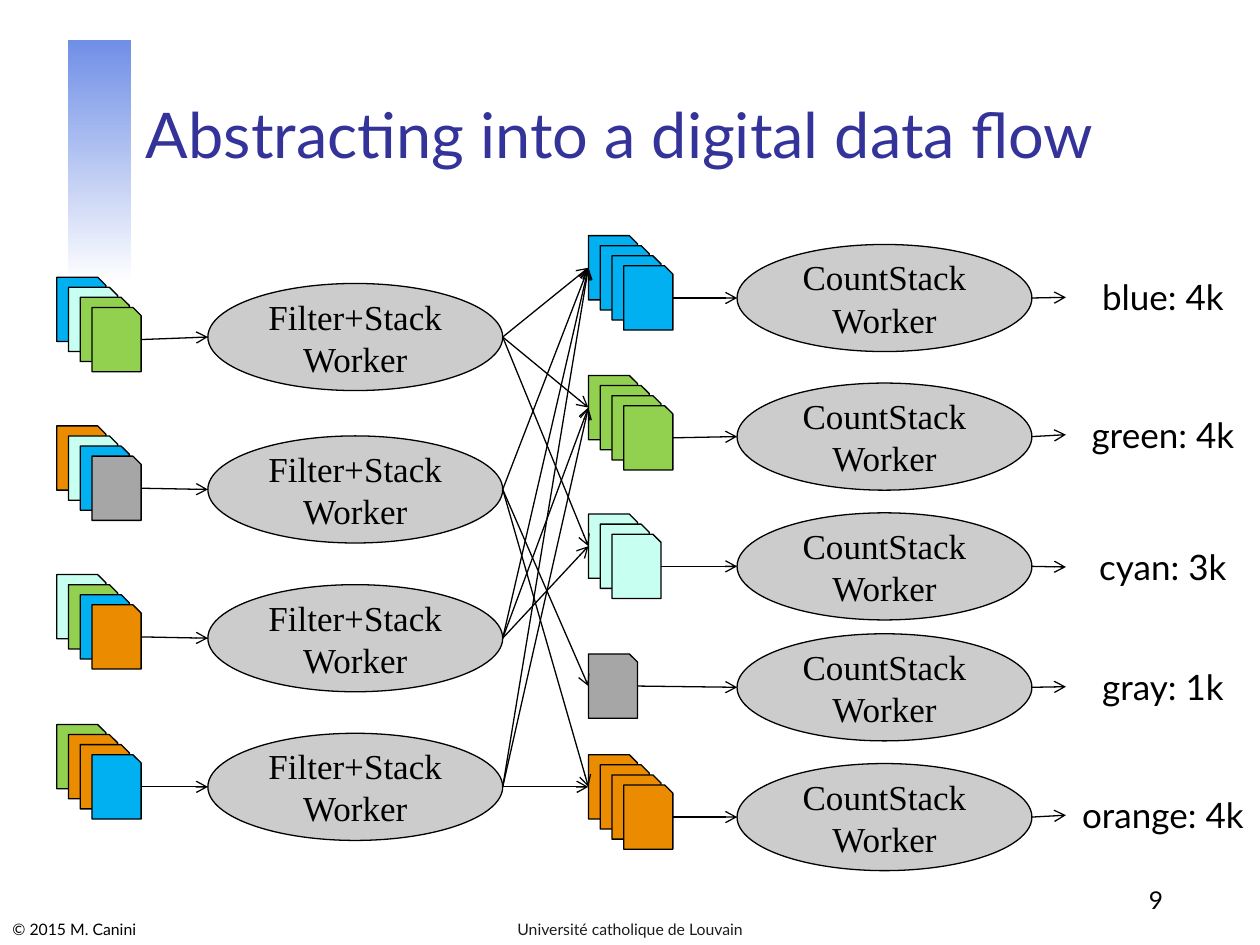
from dataclasses import dataclass
from typing import NamedTuple

from lxml.etree import SubElement
from pptx import Presentation
from pptx.dml.color import RGBColor
from pptx.enum.shapes import MSO_CONNECTOR, MSO_SHAPE
from pptx.enum.text import MSO_ANCHOR, PP_ALIGN
from pptx.oxml.ns import qn
from pptx.util import Inches, Pt


@dataclass(frozen=True)
class Theme:
    heading: str = "333399"
    ink: str = "000000"
    footer_ink: str = "1C1C1C"
    accent: str = "708FE6"
    paper: str = "FFFFFF"
    worker: str = "CCCCCC"
    blue: str = "00B0F0"
    green: str = "92D050"
    cyan: str = "C7FFF0"
    gray: str = "A6A6A6"
    orange: str = "EA8B00"
    sans: str = "Lato"
    serif: str = "Times New Roman"
    title_size: float = 36
    body_size: float = 20
    number_size: float = 14
    footer_size: float = 9
    line_width: float = 0.75


class Mapper(NamedTuple):
    stack_top: float
    worker_top: float
    sheets: tuple[str, ...]   # back to front
    targets: tuple[str, ...]  # stacks it feeds


class Reducer(NamedTuple):
    color: str
    count: int
    stack_top: float
    worker_top: float
    label_top: float


class Point(NamedTuple):
    x: float
    y: float


THEME = Theme()
SHEET_W, SHEET_H = 0.39, 0.51
SHEET_DX, SHEET_DY = 0.28 / 3, 0.08
WORKER_W, WORKER_H = 2.34, 0.85
LABEL_W, LABEL_H = 1.54, 0.44
INPUT_X, MAPPER_X, STACK_X, REDUCER_X, LABEL_X = 0.45, 1.65, 4.67, 5.85, 8.46

MAPPERS = [
    Mapper(2.2, 2.25, ("blue", "cyan", "green", "green"), ("blue", "green", "cyan")),
    Mapper(3.38, 3.46, ("orange", "cyan", "blue", "gray"), ("gray", "blue", "orange")),
    Mapper(4.56, 4.64, ("cyan", "green", "blue", "orange"), ("cyan", "green", "blue")),
    Mapper(5.75, 5.82, ("green", "orange", "orange", "blue"), ("orange", "blue", "green")),
]
REDUCERS = [
    Reducer("blue", 4, 1.87, 1.94, 2.14),
    Reducer("green", 4, 2.98, 3.04, 3.23),
    Reducer("cyan", 3, 4.08, 4.07, 4.28),
    Reducer("gray", 1, 5.19, 5.03, 5.23),
    Reducer("orange", 4, 5.99, 6.06, 6.25),
]


def rgb(value: str) -> RGBColor:
    return RGBColor.from_string(value)


def add_line_of_text(paragraph, text: str, size: float, font: str, color: str, align) -> None:
    paragraph.alignment = align
    run = paragraph.add_run()
    run.text = text
    run.font.size = Pt(size)
    run.font.name = font
    run.font.color.rgb = rgb(color)


def add_text(slide, box: tuple, text: str, size: float, color: str = THEME.ink,
             align=PP_ALIGN.LEFT, anchor=MSO_ANCHOR.BOTTOM):
    holder = slide.shapes.add_textbox(*map(Inches, box))
    frame = holder.text_frame
    frame.word_wrap = True
    frame.vertical_anchor = anchor
    add_line_of_text(frame.paragraphs[0], text, size, THEME.sans, color, align)
    return holder


def add_outlined(slide, kind, box: tuple, fill: str):
    outlined = slide.shapes.add_shape(kind, *map(Inches, box))
    outlined.shadow.inherit = False
    outlined.fill.solid()
    outlined.fill.fore_color.rgb = rgb(fill)
    outlined.line.color.rgb = rgb(THEME.ink)
    outlined.line.width = Pt(THEME.line_width)
    return outlined


def add_stack(slide, left: float, top: float, colors: tuple[str, ...]) -> Point:
    """Draw sheets back to front; return the right middle of the front one."""
    for depth, color in enumerate(colors):
        x, y = left + depth * SHEET_DX, top + depth * SHEET_DY
        add_outlined(slide, MSO_SHAPE.SNIP_1_RECTANGLE, (x, y, SHEET_W, SHEET_H),
                     getattr(THEME, color))
    return Point(x + SHEET_W, y + SHEET_H / 2)


def add_worker(slide, left: float, top: float, task: str) -> tuple[Point, Point]:
    """Draw a worker; return its left and right middles."""
    worker = add_outlined(slide, MSO_SHAPE.OVAL, (left, top, WORKER_W, WORKER_H), THEME.worker)
    frame = worker.text_frame
    frame.word_wrap = False
    frame.vertical_anchor = MSO_ANCHOR.MIDDLE
    for paragraph, text in ((frame.paragraphs[0], task), (frame.add_paragraph(), "Worker")):
        add_line_of_text(paragraph, text, THEME.body_size, THEME.serif, THEME.ink,
                         PP_ALIGN.CENTER)
    middle = top + WORKER_H / 2
    return Point(left, middle), Point(left + WORKER_W, middle)


def add_arrow(slide, start: Point, end: Point):
    arrow = slide.shapes.add_connector(MSO_CONNECTOR.STRAIGHT, *map(Inches, (*start, *end)))
    arrow.line.color.rgb = rgb(THEME.ink)
    arrow.line.width = Pt(THEME.line_width)
    SubElement(arrow.line._get_or_add_ln(), qn("a:tailEnd"), type="arrow")
    SubElement(arrow._element.spPr, qn("a:effectLst"))
    return arrow


def add_frame(slide) -> None:
    # Fading accent bar
    bar = slide.shapes.add_shape(MSO_SHAPE.RECTANGLE, *map(Inches, (0.54, 0.32, 0.5, 1.93)))
    bar.shadow.inherit = False
    bar.line.fill.background()
    bar.fill.gradient()
    bar.fill.gradient_angle = 270
    for stop, position, color in zip(bar.fill.gradient_stops, (0, 1), (THEME.accent, THEME.paper)):
        stop.position = position
        stop.color.rgb = rgb(color)

    # Title, footers and slide number
    add_text(slide, (1.06, 0.33, 8.52, 1.08), "Abstracting into a digital data flow",
             THEME.title_size, THEME.heading)
    add_text(slide, (0, 7.22, 3.02, 0.28), "© 2015 M. Canini", THEME.footer_size)
    add_text(slide, (3.42, 7.22, 3.16, 0.28), "Université catholique de Louvain",
             THEME.footer_size, THEME.footer_ink, PP_ALIGN.CENTER)
    add_text(slide, (7.25, 6.81, 2.08, 0.5), "9", THEME.number_size, align=PP_ALIGN.RIGHT)


def add_flow(slide) -> None:
    # Input stacks and filtering workers
    mapper_exits = []
    for mapper in MAPPERS:
        front = add_stack(slide, INPUT_X, mapper.stack_top, mapper.sheets)
        entry, leave = add_worker(slide, MAPPER_X, mapper.worker_top, "Filter+Stack")
        add_arrow(slide, front, entry)
        mapper_exits.append(leave)

    # Stacks sorted by colour, counting workers and results
    stack_entries = {}
    for reducer in REDUCERS:
        front = add_stack(slide, STACK_X, reducer.stack_top, (reducer.color,) * reducer.count)
        stack_entries[reducer.color] = Point(STACK_X, reducer.stack_top + SHEET_H / 2)
        entry, leave = add_worker(slide, REDUCER_X, reducer.worker_top, "CountStack")
        add_arrow(slide, front, entry)
        result = add_text(slide, (LABEL_X, reducer.label_top, LABEL_W, LABEL_H),
                          f"{reducer.color}: {reducer.count}k", THEME.body_size,
                          align=PP_ALIGN.CENTER, anchor=MSO_ANCHOR.TOP)
        result_entry = Point(LABEL_X, reducer.label_top + LABEL_H / 2)
        add_arrow(slide, leave, result_entry).end_connect(result, 1)

    # Shuffle between the two stages
    for mapper, leave in zip(MAPPERS, mapper_exits):
        for color in mapper.targets:
            add_arrow(slide, leave, stack_entries[color])


def main() -> None:
    presentation = Presentation()
    presentation.slide_width, presentation.slide_height = Inches(10), Inches(7.5)
    slide = presentation.slides.add_slide(presentation.slide_layouts[6])
    add_frame(slide)
    add_flow(slide)
    presentation.save("out.pptx")


if __name__ == "__main__":
    main()
